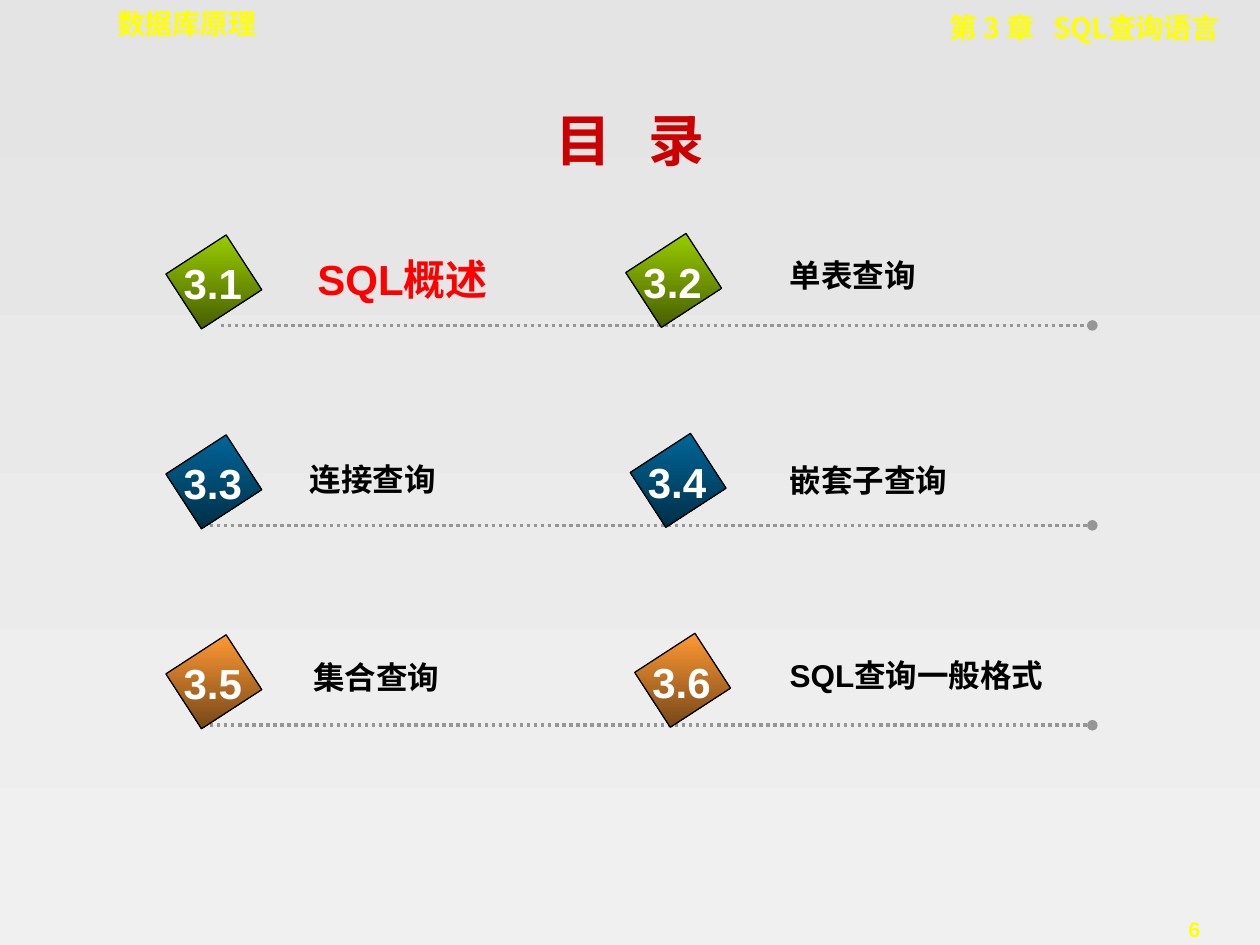
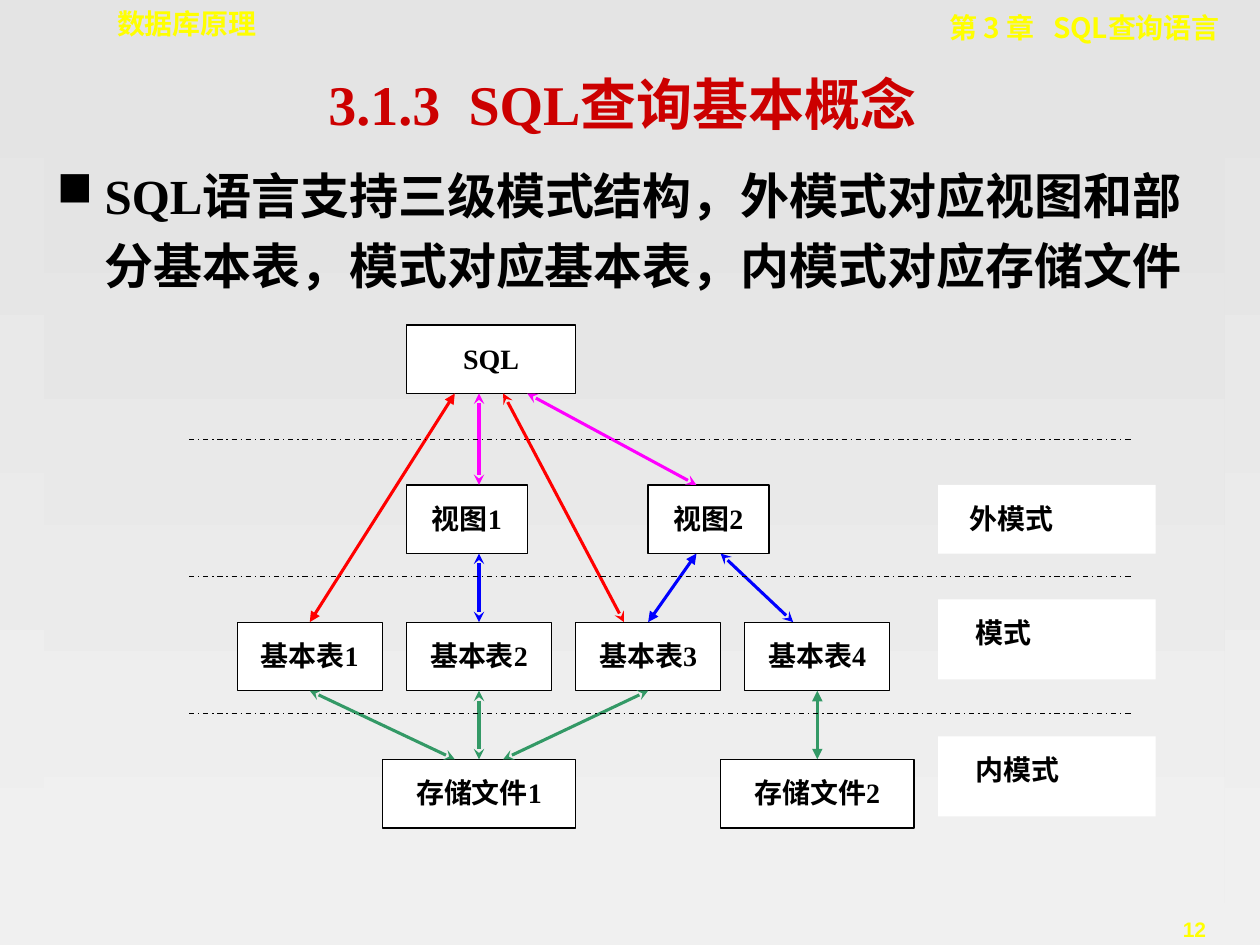
from lxml import etree
from pptx import Presentation
from pptx.dml.color import RGBColor
from pptx.enum.dml import MSO_LINE
from pptx.enum.shapes import MSO_CONNECTOR, MSO_SHAPE
from pptx.enum.text import MSO_ANCHOR, PP_ALIGN
from pptx.oxml.ns import qn
from pptx.util import Cm, Pt

LEFT, MID, RIGHT, JUST = (PP_ALIGN.LEFT, PP_ALIGN.CENTER, PP_ALIGN.RIGHT,
                          PP_ALIGN.JUSTIFY)
TOP, CENTER = MSO_ANCHOR.TOP, MSO_ANCHOR.MIDDLE
DOT, DASH = MSO_LINE.ROUND_DOT, MSO_LINE.DASH_DOT
RECT, STRAIGHT = MSO_SHAPE.RECTANGLE, MSO_CONNECTOR.STRAIGHT

BLACK, WHITE, YELLOW = "000000", "FFFFFF", "FFFF00"
CRIMSON, RED, GRAY = "CC0000", "FF0000", "969696"
PINK, BLUE, GREEN = "FF00FF", "0000FF", "339966"
PAPER = ("E4E4E4", "F0F0F0")
ROMAN, SANS, MONO, HAN = ("Times New Roman", "Arial", "DejaVu Sans Mono",
                          "Noto Sans CJK SC")


def rgb(code):
    return RGBColor.from_string(code)


def shade(fill, pair, angle):
    """Fill with two colours, the angle running clockwise."""
    fill.gradient()
    fill.gradient_angle = 360 - angle
    for stop, code in zip(fill.gradient_stops, pair):
        stop.color.rgb = rgb(code)


def add_run(para, text, size, face, color, gap=0):
    run = para.add_run()
    run.text = text
    look = {"size": Pt(size), "name": face, "bold": True}
    for key, value in look.items():
        setattr(run.font, key, value)
    run.font.color.rgb = rgb(color)
    props = run.font._element
    etree.SubElement(props, qn("a:ea"), typeface=HAN)
    if gap:
        props.set("spc", str(int(gap * 100)))


def write(shape, text, size, face, color, align=LEFT, anchor=TOP, wrap=True,
          gap=0, lead=None, indent=0):
    """Set the text; each "|" becomes a space widened by gap points."""
    frame = shape.text_frame
    frame.word_wrap, frame.vertical_anchor = wrap, anchor
    para = frame.paragraphs[0]
    para.alignment = align
    if lead:
        para.line_spacing = lead
    if indent:
        para._p.get_or_add_pPr().set("marL", str(Cm(indent)))
    for i, part in enumerate(text.split("|")):
        if i:
            add_run(para, " ", size, face, color, gap)
        add_run(para, part, size, face, color)
    return para


def label(slide, box, text, size, face, color, **style):
    shape = slide.shapes.add_textbox(*map(Cm, box))
    return write(shape, text, size, face, color, **style)


def block(slide, box, edge=None):
    """Add a white rectangle, outlined if edge is a colour."""
    shape = slide.shapes.add_shape(RECT, *map(Cm, box))
    shape.shadow.inherit = False
    shape.fill.solid()
    shape.fill.fore_color.rgb = rgb(WHITE)
    if edge:
        shape.line.color.rgb = rgb(edge)
        shape.line.width = Pt(0.75)
    else:
        shape.line.fill.background()
    return shape


def rule(slide, ends, color, width, dash=None, head=None, tail=None):
    link = slide.shapes.add_connector(STRAIGHT, *map(Cm, ends))
    link.line.color.rgb = rgb(color)
    link.line.width = Pt(width)
    if dash:
        link.line.dash_style = dash
    line = link.line._get_or_add_ln()
    for tag, kind in (("a:headEnd", head), ("a:tailEnd", tail)):
        if kind:
            etree.SubElement(line, qn(tag), type=kind)
    etree.SubElement(link._element.spPr, qn("a:effectLst"))
    return link


def new_slide(deck, number):
    """Add a slide with the shared background, headers and page number."""
    slide = deck.slides.add_slide(deck.slide_layouts[6])
    shade(slide.background.fill, PAPER, 90)
    label(slide, (22.81, 18.36, 2.54, 0.76), number, 12, SANS, YELLOW,
          align=MID, wrap=False)
    label(slide, (2.11, 0, 9.3, 0.94), "数据库原理", 16, MONO, YELLOW)
    label(slide, (13.79, 0.08, 11.05, 0.94), "第 3 章|SQL查询语言", 16, HAN,
          YELLOW, align=RIGHT, gap=7)
    return slide


def title(slide, left, top, text, face, gap):
    label(slide, (left, top, 21.59, 1.7), text, 32, face, CRIMSON, align=MID,
          anchor=CENTER, gap=gap)


def badge(slide, left, top, number, pair):
    """Tilted square with a section number over it."""
    tile = block(slide, (left + 0.2, top, 1.32, 1.45), BLACK)
    shade(tile.fill, pair, 33)
    tile.rotation = 57
    label(slide, (left, top + 0.11, 1.68, 1.27), number, 24, SANS, WHITE,
          align=MID, wrap=False)


# Rows: colours, line start, then (text, left, rise above line, width)
TOPICS = [
    (("99CC00", "475E00"), 4.45,
     ("SQL概述", 6.15, 1.57, 5.72), ("单表查询", 15.67, 1.52, 3.6)),
    (("006699", "002F47"), 4.23,
     ("连接查询", 6, 1.44, 3.18), ("嵌套子查询", 15.67, 1.42, 4.02)),
    (("FF9933", "764718"), 4.23,
     ("集合查询", 6.07, 1.47, 3.81), ("SQL查询一般格式", 15.67, 1.52, 5.92)),
]


def contents(slide, top, pitch):
    for row, (pair, start, *topics) in enumerate(TOPICS):
        y = top + row * pitch
        rule(slide, (start, y, 22.02, y), GRAY, 2, DOT, tail="oval")
        for col, (text, left, rise, width) in enumerate(topics):
            now = row == col == 0
            size, color, high = (24, RED, 1.27) if now else (18, BLACK, 1.02)
            label(slide, (left, y - rise, width, high), text, size, SANS,
                  color)
            x = 12.72 + 0.09 * row if col else 3.45
            badge(slide, x, y - (1.63 if col else 1.6),
                  f"3.{2 * row + col + 1}", pair)


def body(slide, box, text):
    shape = block(slide, box)
    shade(shape.fill, PAPER, 90)
    para = write(shape, text, 28, ROMAN, BLACK, lead=1.2, indent=0.97)
    props = para._p.get_or_add_pPr()
    props.set("indent", str(-Cm(0.97)))
    tint = etree.SubElement(props, qn("a:buClr"))
    etree.SubElement(tint, qn("a:srgbClr"), val=BLACK)
    etree.SubElement(props, qn("a:buChar"), char="■")


# Diagram places count cells of a grid of COLS by ROWS
COLS, ROWS, HIGH = 39, 22, 3
NODES = {  # text: left, top, width
    "SQL": (9, 0, 7), "视图1": (9, 7, 5), "视图2": (19, 7, 5),
    "基本表1": (2, 13, 6), "基本表2": (9, 13, 6),
    "基本表3": (16, 13, 6), "基本表4": (23, 13, 6),
    "存储文件1": (8, 19, 8), "存储文件2": (22, 19, 8),
}
ARROWS = [  # upper node, its x, lower node, its x, colour, head
    ("SQL", 12, "视图1", 12, PINK, "stealth"),
    ("SQL", 11, "基本表1", 5, RED, "triangle"),
    ("SQL", 14, "视图2", 21, PINK, "stealth"),
    ("视图1", 12, "基本表2", 12, BLUE, "stealth"),
    ("基本表2", 12, "存储文件1", 12, GREEN, "stealth"),
    ("视图2", 21, "基本表3", 19, BLUE, "triangle"),
    ("视图2", 22, "基本表4", 25, BLUE, "stealth"),
    ("基本表4", 26, "存储文件2", 26, GREEN, "triangle"),
    ("基本表1", 5, "存储文件1", 11, GREEN, "stealth"),
    ("基本表3", 19, "存储文件1", 13, GREEN, "stealth"),
    ("SQL", 13, "基本表3", 18, RED, "stealth"),
]
LEVELS = [  # text, top, height, indent
    ("外模式", 7, 3, 0.39), ("模式", 12, 3.5, 0.51), ("内模式", 18, 3.5, 0.51),
]


def diagram(slide, left, top, width, height):
    dx, dy = width / COLS, height / ROWS

    def spot(x, y):
        return left + x * dx, top + y * dy

    def cell(x, y, wide, high):
        return *spot(x, y), wide * dx, high * dy

    def middle(name):
        return NODES[name][0] + NODES[name][2] / 2

    shapes = {}
    for name, (x, y, wide) in NODES.items():
        shapes[name] = block(slide, cell(x, y, wide, HIGH), BLACK)
        write(shapes[name], name, 16, ROMAN, BLACK, align=MID, lead=1.3)
    for upper, x1, lower, x2, color, head in ARROWS:
        ends = spot(x1, NODES[upper][1] + HIGH) + spot(x2, NODES[lower][1])
        link = rule(slide, ends, color, 2 if x1 == x2 else 1.75,
                    head=head, tail=head)
        if x1 == middle(upper):
            link.begin_connect(shapes[upper], 2)
        if x2 == middle(lower):
            link.end_connect(shapes[lower], 0)
    for y in (5, 11, 17):
        rule(slide, spot(0, y) + spot(COLS, y), BLACK, 0.75, DASH)
    for text, y, high, indent in LEVELS:
        shape = block(slide, cell(31, y, 9, high))
        write(shape, text, 16, ROMAN, BLACK, align=JUST, lead=1.3,
              indent=indent)


def main():
    deck = Presentation()
    deck.slide_width, deck.slide_height = Cm(25.4), Cm(19.05)

    slide = new_slide(deck, "6")
    title(slide, 1.9, 1.96, "目|录", HAN, 14)
    contents(slide, 6.56, 4.03)

    slide = new_slide(deck, "12")
    title(slide, 1.76, 1.22, "3.1.3|SQL查询基本概念", ROMAN, 8)
    body(slide, (0.89, 2.97, 23.8, 15.24),
         "SQL语言支持三级模式结构，外模式对应视图和部分基本表，"
         "模式对应基本表，内模式对应存储文件")
    diagram(slide, 3.81, 6.55, 19, 10.14)

    deck.save("out.pptx")


if __name__ == "__main__":
    main()
